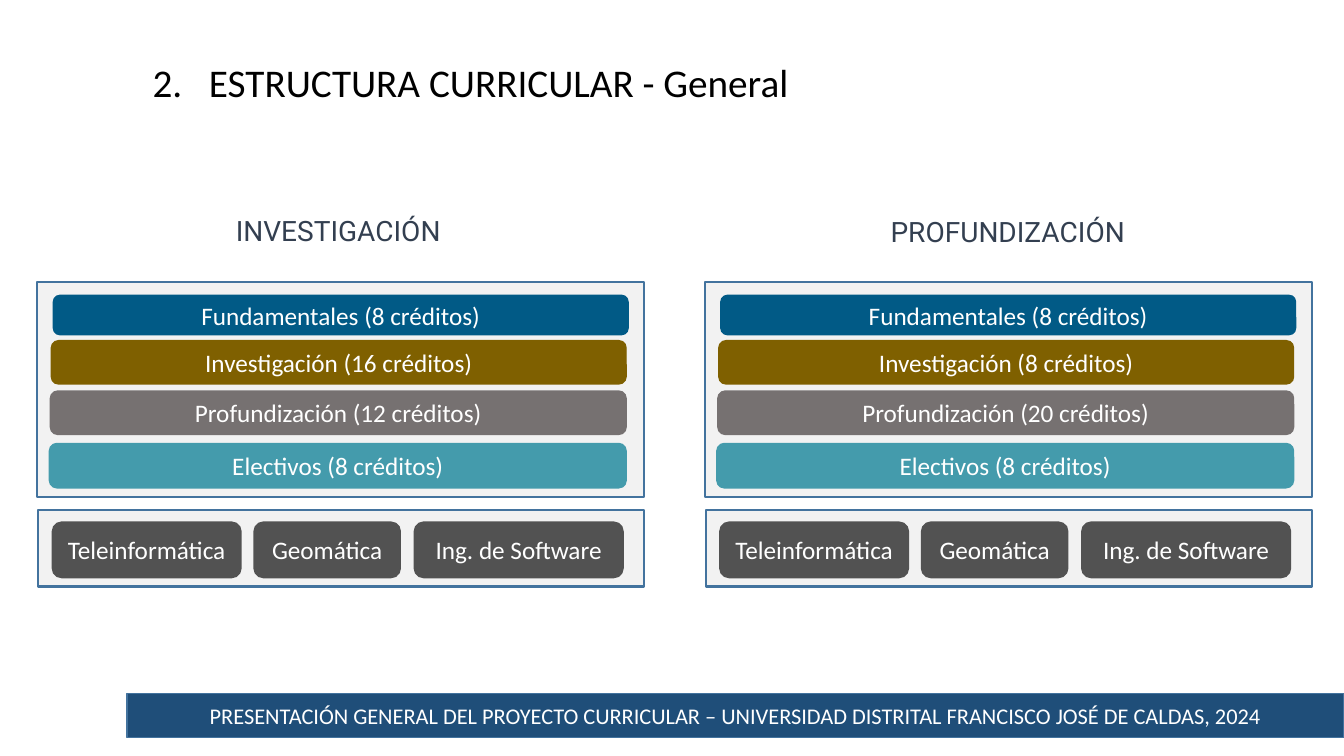
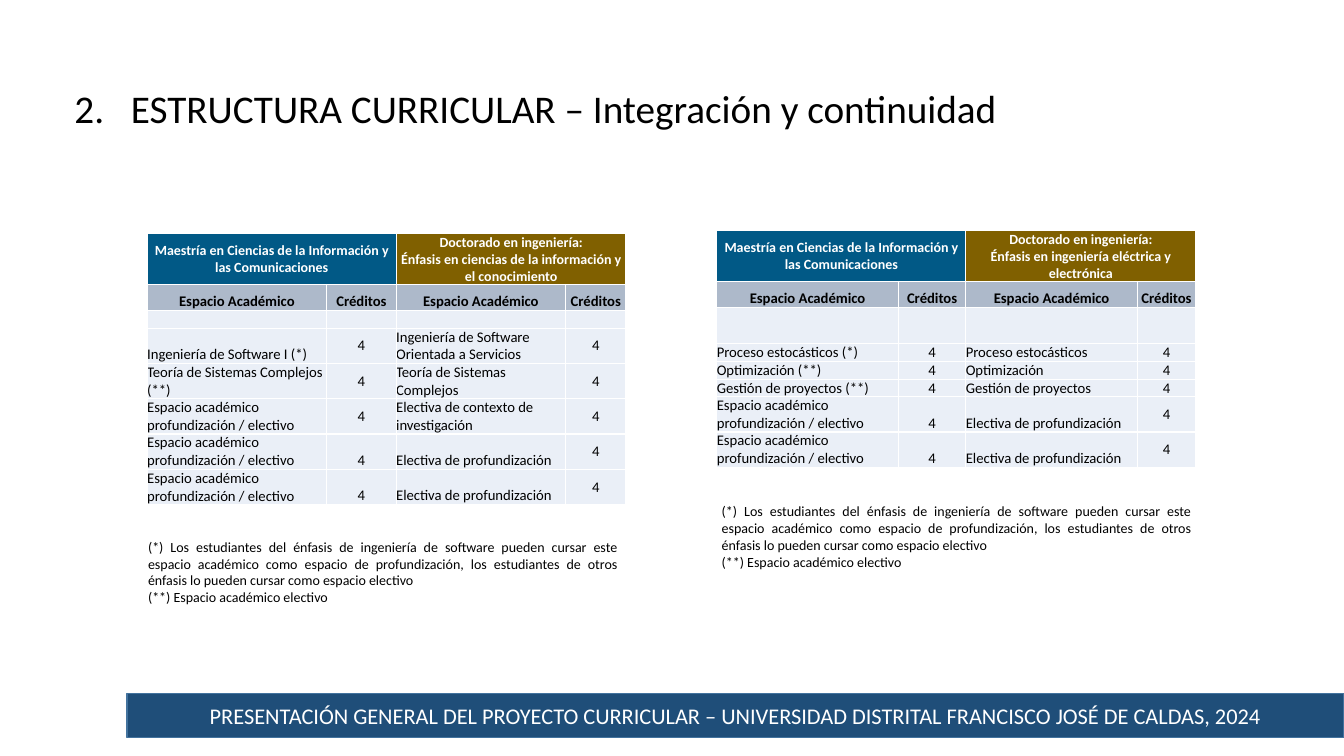
"""Builds two slides on the curricular structure of a master's programme."""
from lxml import etree
from pptx import Presentation
from pptx import util as u
from pptx.dml.color import RGBColor
from pptx.enum import shapes, text
from pptx.oxml.ns import qn

WHITE, BLACK, EDGE = "FFFFFF", "000000", "43739E"
BLUE, OCHRE, GREY, TEAL, DARK = "015A86", "7F6000", "767171", "449BAC", "525252"
PANEL, FOOTER, HEADING = "F2F2F2", "1F4E79", "333F50"
HEAD_FILLS = ("015986", "015986", "806000", "806000")
SUBHEAD_FILL, BODY_FILL = "ADB9CA", "EAEFF7"
LEFT, CENTER, JUSTIFY = text.PP_ALIGN.LEFT, text.PP_ALIGN.CENTER, text.PP_ALIGN.JUSTIFY
TOP, MIDDLE, BOTTOM = text.MSO_ANCHOR.TOP, text.MSO_ANCHOR.MIDDLE, text.MSO_ANCHOR.BOTTOM
RECT, ROUND = shapes.MSO_SHAPE.RECTANGLE, shapes.MSO_SHAPE.ROUNDED_RECTANGLE

FOOTER_TEXT = ("PRESENTACIÓN GENERAL DEL PROYECTO CURRICULAR – "
               "UNIVERSIDAD DISTRITAL FRANCISCO JOSÉ DE CALDAS, 2024")
TRACKS = [
    (0.37, (0.35, 2.07), "INVESTIGACIÓN", (8, 16, 12, 8)),
    (6.99, (6.99, 2.08), "PROFUNDIZACIÓN", (8, 8, 20, 8)),
]
BARS = [
    ("Fundamentales", BLUE, (0.16, 2.93, 5.7, 0.39)),
    ("Investigación", OCHRE, (0.14, 3.38, 5.7, 0.43)),
    ("Profundización", GREY, (0.13, 3.88, 5.71, 0.43)),
    ("Electivos", TEAL, (0.12, 4.4, 5.72, 0.44)),
]
AREAS = [("Teleinformática", 0.15, 1.87), ("Geomática", 2.15, 1.45),
         ("Ing. de Software", 3.74, 2.07)]

MASTER = "Maestría en Ciencias de la Información y las Comunicaciones"
DOCTORATE = "Doctorado en ingeniería:"
SUBHEAD = ("Espacio Académico", "Créditos") * 2
ELECTIVE = ("Espacio académico profundización / electivo", "Electiva de profundización")
NOTES = [
    "(*) Los estudiantes del énfasis de ingeniería de software pueden cursar este "
    "espacio académico como espacio de profundización, los estudiantes de otros "
    "énfasis lo pueden cursar como espacio electivo",
    "(**) Espacio académico electivo",
]
PLANS = [
    {"at": (1.46, 2.32), "note": (1.37, 5.29), "gap_size": 10.5,
     "widths": (1.78, 0.69, 1.68, 0.6),
     "heights": (0.5, 0.26, 0.17, 0.35, 0.35, 0.35, 0.35, 0.35),
     "emphasis": "Énfasis en ciencias de la información y el conocimiento",
     "courses": [
         ("Ingeniería de Software I (*)", "Ingeniería de Software Orientada a Servicios"),
         ("Teoría de Sistemas Complejos (**)", "Teoría de Sistemas Complejos"),
         (ELECTIVE[0], "Electiva de contexto de investigación"),
         ELECTIVE, ELECTIVE]},
    {"at": (7.11, 2.29), "note": (7.06, 4.94), "gap_size": 18,
     "widths": (1.8, 0.67, 1.7, 0.58),
     "heights": (0.5, 0.26, 0.36, 0.17, 0.17, 0.17, 0.35, 0.35),
     "emphasis": "Énfasis en ingeniería eléctrica y electrónica",
     "courses": [
         ("Proceso estocásticos (*)", "Proceso estocásticos"),
         ("Optimización (**)", "Optimización"),
         ("Gestión de proyectos (**)", "Gestión de proyectos"),
         ELECTIVE, ELECTIVE]},
]


def rgb(value):
    """Return the colour for a hex string."""
    return RGBColor.from_string(value)


def inches(values):
    """Return a list of lengths for numbers of inches."""
    return [u.Inches(value) for value in values]


def set_all(target, formats):
    """Set each attribute named in formats on the target."""
    for name, value in formats.items():
        setattr(target, name, value)


def write(frame, lines, size, color, align=CENTER, bold=False, font="Calibri"):
    """Write one paragraph per line in one text style."""
    for index, line in enumerate(lines):
        para = frame.add_paragraph() if index else frame.paragraphs[0]
        para.alignment = align
        if line:
            span = para.add_run()
            span.text = line
            set_all(span.font, {"size": u.Pt(size), "name": font, "bold": bold})
            span.font.color.rgb = rgb(color)
        else:
            etree.SubElement(para._p, qn("a:endParaRPr"), sz=str(int(size * 100)))


def add_box(page, kind, at, fill, edge, edge_width=1, label=None, size=18):
    """Add a filled shape with an optional centred label."""
    box = page.shapes.add_shape(kind, *inches(at))
    box.shadow.inherit = False
    box.fill.solid()
    box.fill.fore_color.rgb = rgb(fill)
    box.line.color.rgb = rgb(edge)
    box.line.width = u.Pt(edge_width)
    if label:
        set_all(box.text_frame, {"word_wrap": True, "vertical_anchor": MIDDLE})
        write(box.text_frame, [label], size, WHITE)


def add_text(page, at, lines, size, color, **style):
    """Add a wrapping text box and return its frame."""
    frame = page.shapes.add_textbox(*inches(at)).text_frame
    set_all(frame, {"word_wrap": True, "vertical_anchor": TOP,
                    "auto_size": text.MSO_AUTO_SIZE.SHAPE_TO_FIT_TEXT})
    write(frame, lines, size, color, **style)
    return frame


def add_page(deck, title, title_at):
    """Add a page with the numbered title and the footer band."""
    page = deck.slides.add_slide(deck.slide_layouts[6])
    frame = add_text(page, title_at, [title], 28, BLACK)
    props = frame.paragraphs[0]._p.get_or_add_pPr()
    props.set("marL", str(u.Inches(0.56)))
    props.set("indent", str(u.Inches(-0.56)))
    etree.SubElement(props, qn("a:buFont"), typeface="+mj-lt")
    etree.SubElement(props, qn("a:buAutoNum"), type="arabicPeriod", startAt="2")
    add_box(page, RECT, (1.26, 6.88, 12.07, 0.44), FOOTER, EDGE, label=FOOTER_TEXT, size=16)
    return page


def add_track(page, left, heading_at, heading, credits):
    """Add one track: heading, credit bars and areas."""
    add_text(page, (*heading_at, 6.01, 0.43), [heading], 20, HEADING, font="Roboto")
    add_box(page, RECT, (left, 2.8, 6.02, 2.13), PANEL, EDGE, 1.5)
    for (name, color, (offset, *rest)), credit in zip(BARS, credits):
        add_box(page, ROUND, (left + offset, *rest), color, color,
                label=f"{name} ({credit} créditos)")
    add_box(page, RECT, (left + 0.01, 5.06, 6.01, 0.76), PANEL, EDGE, 1.5)
    for name, offset, width in AREAS:
        add_box(page, ROUND, (left + offset, 5.18, width, 0.55), DARK, DARK, label=name)


def style_cell(cell, fill, anchor):
    """Give a cell white borders, a fill and no margins."""
    props = cell._tc.get_or_add_tcPr()
    for side in ("lnL", "lnR", "lnT", "lnB"):
        line = etree.SubElement(props, qn(f"a:{side}"), w=str(u.Pt(1)))
        solid = etree.SubElement(line, qn("a:solidFill"))
        etree.SubElement(solid, qn("a:srgbClr"), val=WHITE)
    cell.fill.solid()
    cell.fill.fore_color.rgb = rgb(fill)
    set_all(cell, {"vertical_anchor": anchor, "margin_left": 0, "margin_right": 0,
                   "margin_top": 0, "margin_bottom": 0})


def add_plan(page, plan):
    """Add one course table and its notes."""
    widths, heights = plan["widths"], plan["heights"]
    area = inches((*plan["at"], sum(widths), sum(heights)))
    table = page.shapes.add_table(len(heights), len(widths), *area).table
    set_all(table, {"first_row": False, "horz_banding": False})
    for column, width in zip(table.columns, widths):
        column.width = u.Inches(width)
    for row, height in zip(table.rows, heights):
        row.height = u.Inches(height)
    rows = [(MASTER, "", f"{DOCTORATE}\n{plan['emphasis']}", ""), SUBHEAD, ("",) * 4]
    rows += [(master, "4", doctorate, "4") for master, doctorate in plan["courses"]]
    for r, values in enumerate(rows):
        for c, value in enumerate(values):
            cell = table.cell(r, c)
            centred_row = r == 0 or (r > 2 and (c == 3 or (c == 1 and r < 6)))
            fill = HEAD_FILLS[c] if r == 0 else SUBHEAD_FILL if r == 1 else BODY_FILL
            style_cell(cell, fill, MIDDLE if centred_row else BOTTOM)
            size = {0: 10, 2: plan["gap_size"]}.get(r, 10.5)
            write(cell.text_frame, value.split("\n"), size, BLACK if r else WHITE,
                  CENTER if r < 2 or c % 2 else LEFT, bold=r < 2)
    for c in (0, 2):
        table.cell(0, c).merge(table.cell(0, c + 1))
    add_text(page, (*plan["note"], 4.85, 0.77), NOTES, 10, BLACK, align=JUSTIFY)


def main():
    """Build and save the deck."""
    deck = Presentation()
    set_all(deck, {"slide_width": u.Inches(13.33), "slide_height": u.Inches(7.5)})
    page = add_page(deck, "ESTRUCTURA CURRICULAR - General", (0.64, 0.53, 8.05, 0.57))
    for track in TRACKS:
        add_track(page, *track)
    page = add_page(deck, "ESTRUCTURA CURRICULAR – Integración y continuidad",
                    (0.41, 0.79, 9.8, 0.57))
    for plan in PLANS:
        add_plan(page, plan)
    deck.save("out.pptx")


if __name__ == "__main__":
    main()
